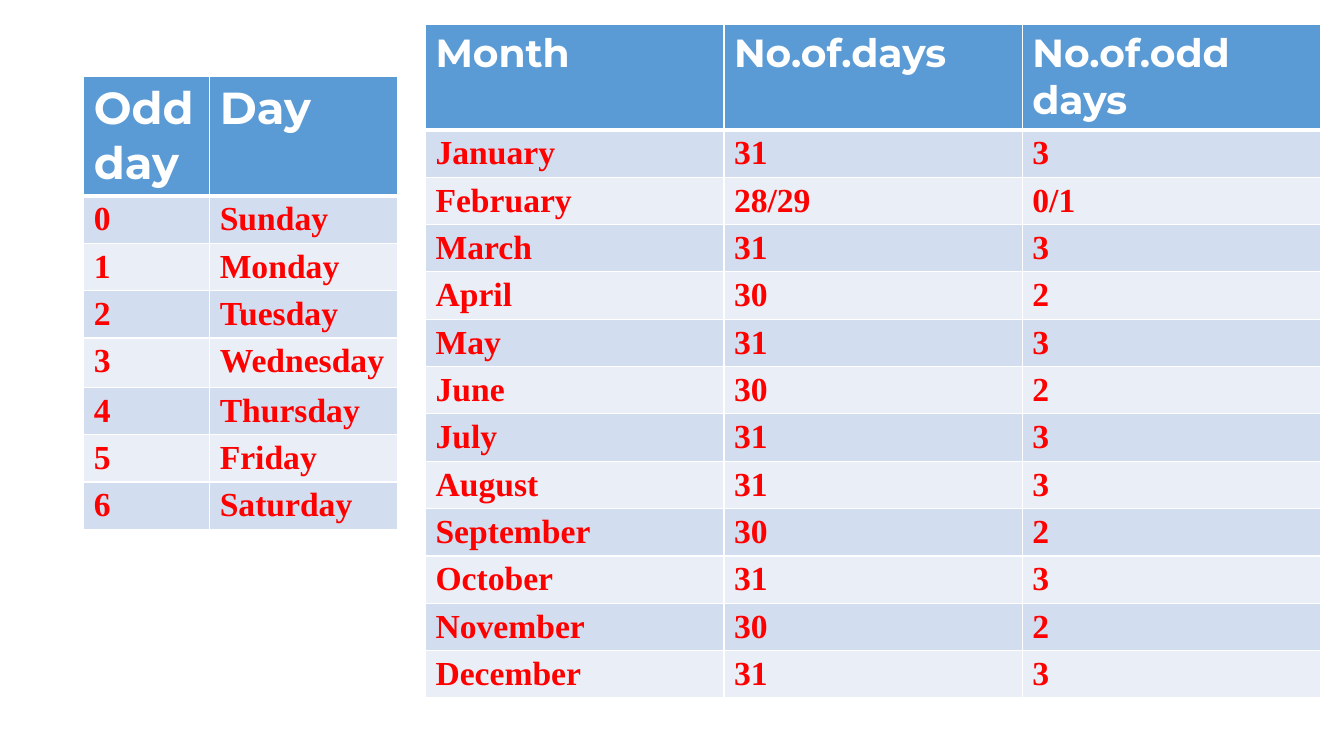
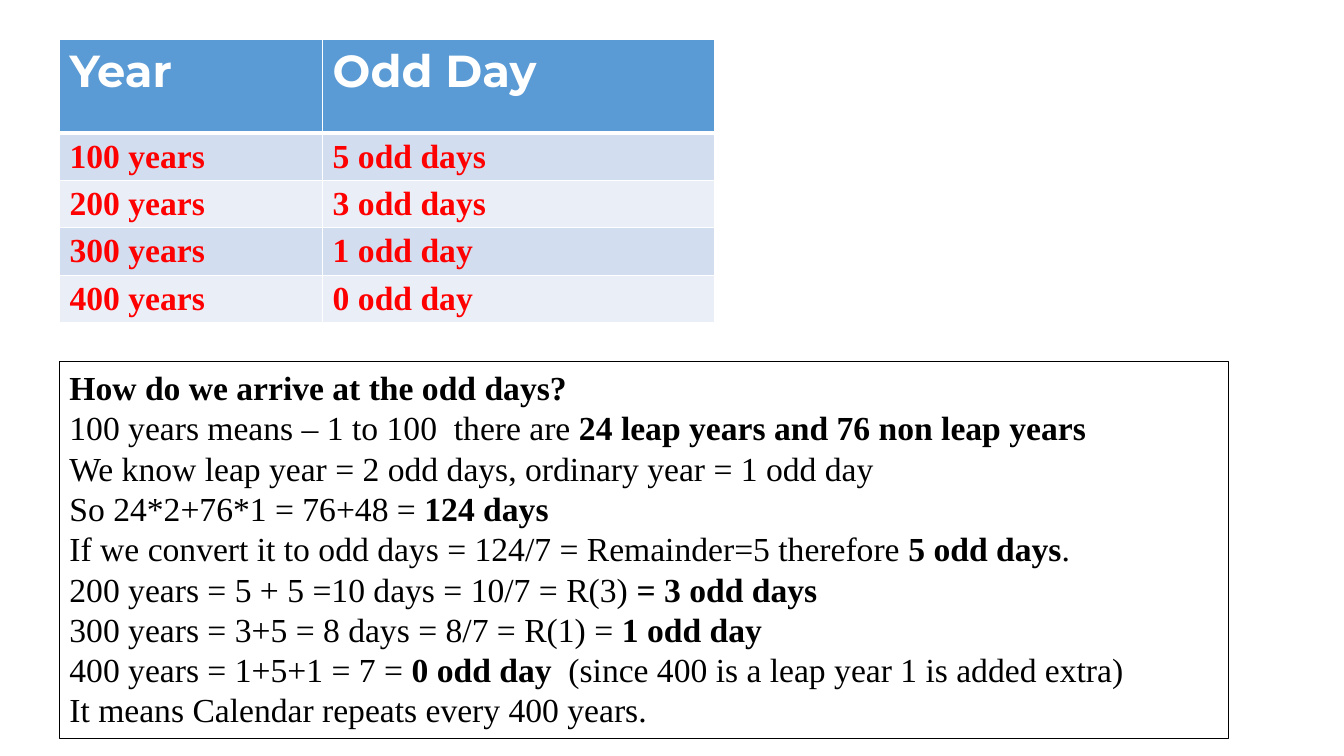
from lxml.etree import SubElement
from pptx import Presentation
from pptx.dml.color import RGBColor
from pptx.enum.shapes import MSO_SHAPE
from pptx.enum.text import MSO_ANCHOR, PP_ALIGN
from pptx.oxml.ns import qn
from pptx.util import Inches, Pt

# Shared look
WHITE = RGBColor(0xFF, 0xFF, 0xFF)
BLACK = RGBColor(0x00, 0x00, 0x00)
RED = RGBColor(0xFF, 0x00, 0x00)
HEADER_BLUE = RGBColor(0x5B, 0x9B, 0xD5)
BAND_FILLS = (RGBColor(0xD2, 0xDE, 0xEF), RGBColor(0xEA, 0xEF, 0xF7))
HEADER_FONT = "Montserrat"
BODY_FONT = "Times New Roman"
BODY_SIZE = 24
ROW_HEIGHT = 0.47
BLANK_LAYOUT = 6

# Content
WEEKDAYS = ["Sunday", "Monday", "Tuesday", "Wednesday", "Thursday", "Friday", "Saturday"]
MONTHS = [
    ("January", "31", "3"),
    ("February", "28/29", "0/1"),
    ("March", "31", "3"),
    ("April", "30", "2"),
    ("May", "31", "3"),
    ("June", "30", "2"),
    ("July", "31", "3"),
    ("August", "31", "3"),
    ("September", "30", "2"),
    ("October", "31", "3"),
    ("November", "30", "2"),
    ("December", "31", "3"),
]
CENTURIES = [
    ("100 years", "5 odd days"),
    ("200 years", "3 odd days"),
    ("300 years", "1 odd day"),
    ("400 years", "0 odd day"),
]
# Each line is a list of (text, bold) spans
EXPLANATION = [
    [("How do we arrive at the odd days?", True)],
    [("100 years means – 1 to 100  there are ", False),
     ("24 leap years and 76 non leap years", True)],
    [("We know leap year = 2 odd days, ordinary year = 1 odd day", False)],
    [("So 24*2+76*1 = 76+48 = ", False), ("124 days", True)],
    [("If we convert it to odd days = 124/7 = Remainder=5 therefore ", False),
     ("5 odd days", True), (".", False)],
    [("200 years = 5 + 5 =10 days = 10/7 = R(3) ", False), ("= 3 odd days", True)],
    [("300 years = 3+5 = 8 days = 8/7 = R(1) = ", False), ("1 odd day", True)],
    [("400 years = 1+5+1 = 7 = ", False), ("0 odd day ", True),
     (" (since 400 is a leap year 1 is added extra)", False)],
    [("It means Calendar repeats every 400 years.", False)],
]


def set_font(font, name, size, color):
    font.name = name
    font.size = Pt(size)
    font.color.rgb = color


def set_borders(cell, top, bottom):
    """Draw white cell edges; top and bottom widths are in points."""
    properties = cell._tc.get_or_add_tcPr()
    for tag, width in (("a:lnL", 1), ("a:lnR", 1), ("a:lnT", top), ("a:lnB", bottom)):
        line = SubElement(properties, qn(tag), w=str(Pt(width)))
        fill = SubElement(line, qn("a:solidFill"))
        SubElement(fill, qn("a:srgbClr"), val=str(WHITE))


def add_banded_table(page, left, top, widths, heights, header_size, rows):
    """Add a table whose first row is the header and whose body is banded."""
    frame = page.shapes.add_table(
        len(rows), len(widths), Inches(left), Inches(top),
        Inches(sum(widths)), Inches(sum(heights)))
    table = frame.table
    for column, width in zip(table.columns, widths):
        column.width = Inches(width)
    for index, (row, height, texts) in enumerate(zip(table.rows, heights, rows)):
        row.height = Inches(height)
        is_header = index == 0
        for cell, text in zip(row.cells, texts):
            set_borders(cell, 3 if index == 1 else 1, 3 if is_header else 1)
            cell.fill.solid()
            cell.fill.fore_color.rgb = HEADER_BLUE if is_header else BAND_FILLS[(index - 1) % 2]
            cell.text = text
            font = cell.text_frame.paragraphs[0].font
            font.bold = True
            if is_header:
                set_font(font, HEADER_FONT, header_size, WHITE)
            else:
                set_font(font, BODY_FONT, BODY_SIZE, RED)


def add_outlined_box(page, left, top, width, height, lines):
    box = page.shapes.add_shape(
        MSO_SHAPE.RECTANGLE, Inches(left), Inches(top), Inches(width), Inches(height))
    box.shadow.inherit = False
    box.fill.background()
    box.line.color.rgb = BLACK
    box.line.width = Pt(0.75)
    text_frame = box.text_frame
    text_frame.word_wrap = True
    text_frame.vertical_anchor = MSO_ANCHOR.TOP
    for index, spans in enumerate(lines):
        para = text_frame.paragraphs[0] if index == 0 else text_frame.add_paragraph()
        para.alignment = PP_ALIGN.LEFT
        set_font(para.font, BODY_FONT, BODY_SIZE, BLACK)
        for text, bold in spans:
            span = para.add_run()
            span.text = text
            span.font.bold = bold


def add_days_page(deck):
    page = deck.slides.add_slide(deck.slide_layouts[BLANK_LAYOUT])
    # Odd day to weekday
    weekday_rows = [(str(number), day) for number, day in enumerate(WEEKDAYS)]
    heights = [1.17] + [0.49 if day == "Wednesday" else ROW_HEIGHT for day in WEEKDAYS]
    add_banded_table(page, 0.83, 0.76, [1.25, 1.86], heights, 32,
                     [("Odd day", "Day")] + weekday_rows)
    # Odd days of each month
    add_banded_table(page, 4.22, 0.24, [2.96] * 3, [1.03] + [ROW_HEIGHT] * len(MONTHS), 28,
                     [("Month", "No.of.days", "No.of.odd days")] + MONTHS)


def add_years_page(deck):
    page = deck.slides.add_slide(deck.slide_layouts[BLANK_LAYOUT])
    # Odd days of each century
    add_banded_table(page, 0.59, 0.39, [2.61, 3.89], [0.93] + [ROW_HEIGHT] * len(CENTURIES), 32,
                     [("Year", "Odd Day")] + CENTURIES)
    # Worked explanation
    add_outlined_box(page, 0.59, 3.59, 11.59, 3.74, EXPLANATION)


def main():
    deck = Presentation()
    deck.slide_width = Inches(13.33)
    deck.slide_height = Inches(7.5)
    add_days_page(deck)
    add_years_page(deck)
    deck.save("out.pptx")


if __name__ == "__main__":
    main()
